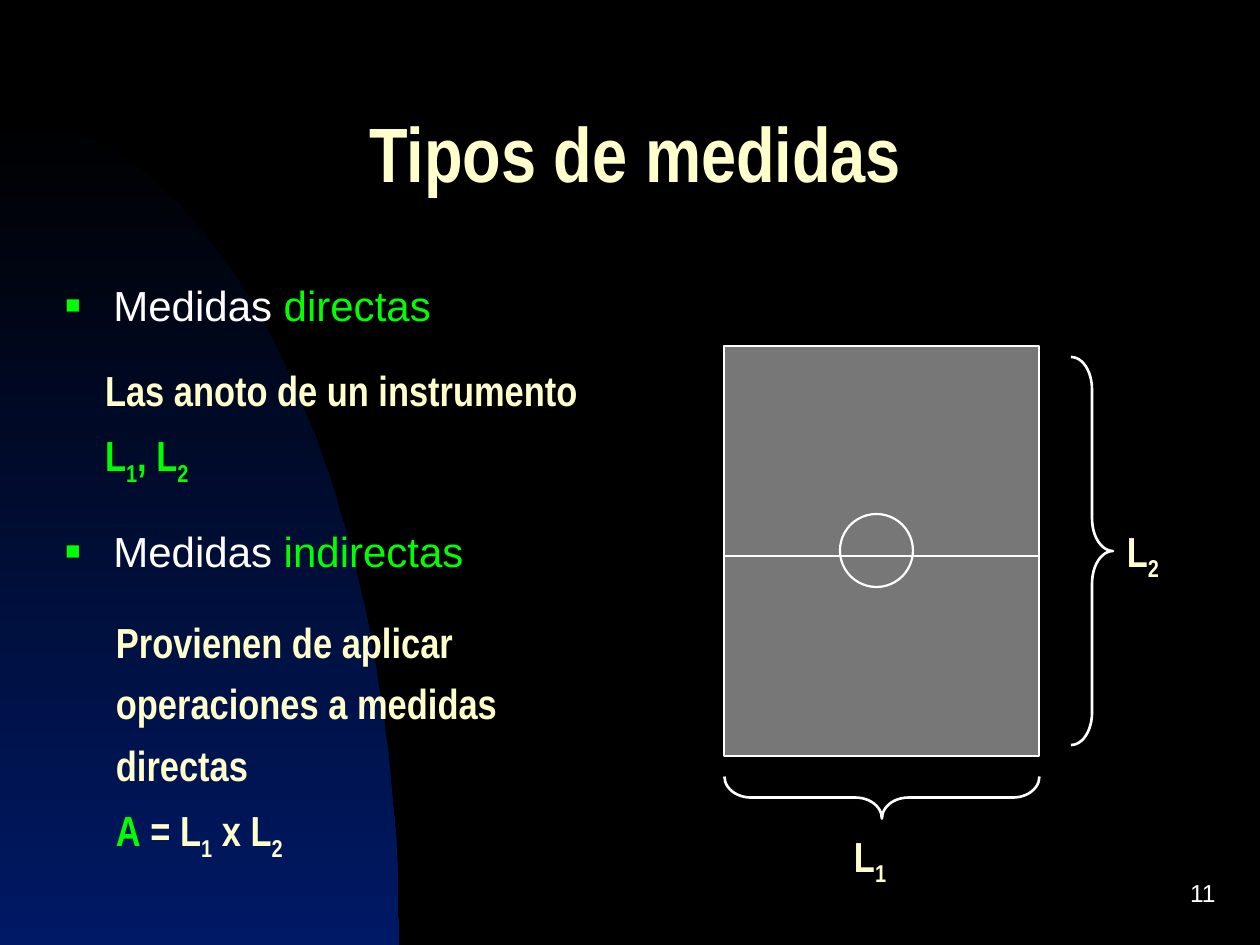
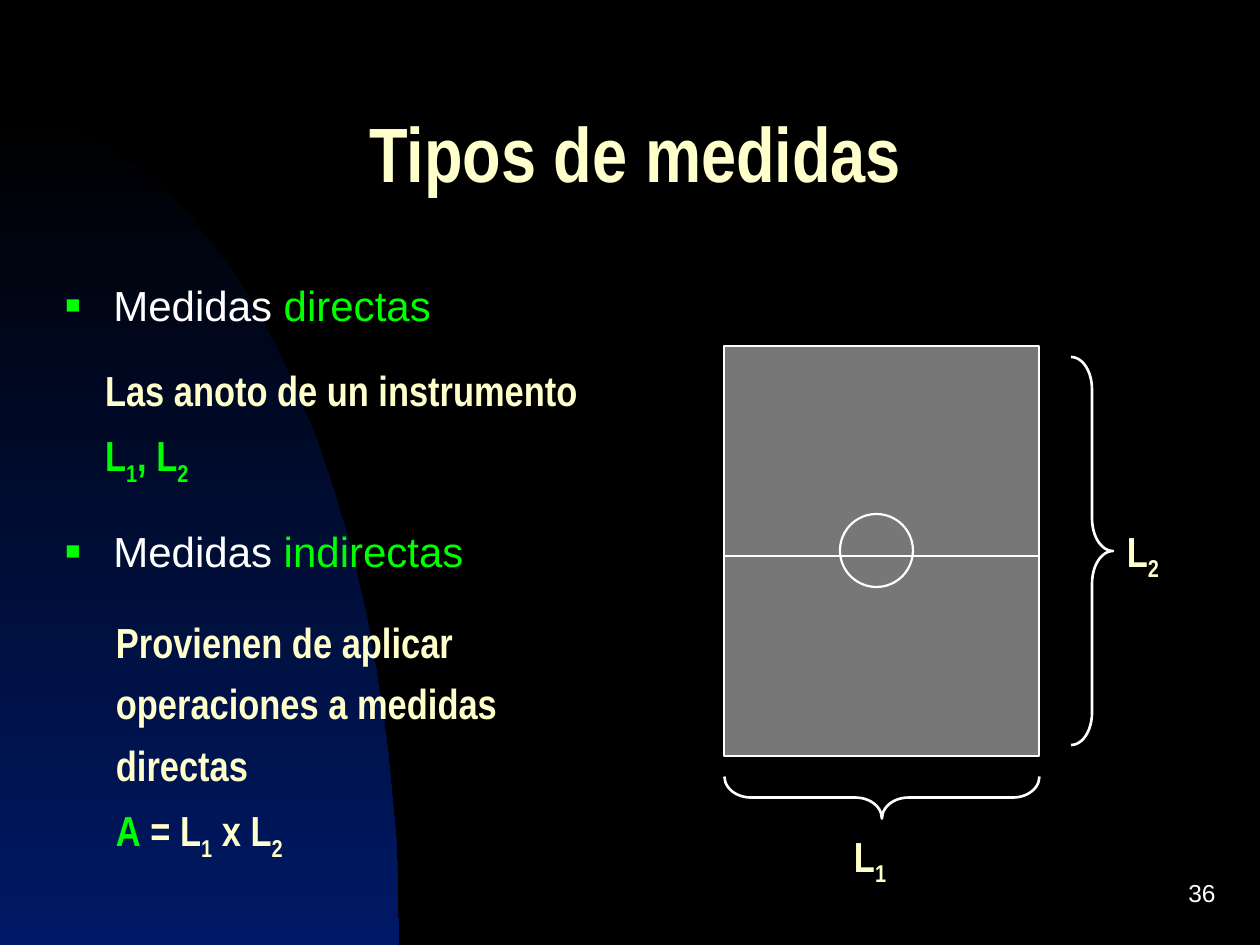
from math import cos, pi, sin

from lxml.etree import SubElement
from pptx import Presentation
from pptx.dml.color import RGBColor
from pptx.enum.shapes import MSO_CONNECTOR, MSO_SHAPE
from pptx.enum.text import MSO_ANCHOR, PP_ALIGN
from pptx.oxml.ns import qn
from pptx.util import Emu, Pt

PX_PER_INCH = 126
CREAM, GREEN, WHITE, GREY = "FFFFCC", "00FF00", "FFFFFF", "777777"
BLACK, NIGHT_BLUE = "000000", "001966"
rgb = RGBColor.from_string


def px(*lengths):
    return [Emu(round(n * 914400 / PX_PER_INCH)) for n in lengths]


def write_lines(frame, lines, size=24, font="Arial Narrow", bold=True, gap=15, spacing=0.7):
    """Write lines of (text, colour) runs; a leading underscore marks a subscript."""
    for number, line in enumerate(lines):
        paragraph = frame.add_paragraph() if number else frame.paragraphs[0]
        paragraph.line_spacing = spacing
        if number:
            paragraph.space_before = Pt(gap)
        for text, colour in line:
            run = paragraph.add_run()
            run.text = text.lstrip("_")
            run.font.size, run.font.name, run.font.bold = Pt(size), font, bold
            run.font.color.rgb = rgb(colour)
            if text.startswith("_"):
                run.font._element.set("baseline", "-25000")


prs = Presentation()
prs.slide_width, prs.slide_height = px(1260, 945)
layout = prs.slide_layouts[5]
background = prs.slide_master.background.fill
background.solid()
background.fore_color.rgb = rgb(BLACK)

# Content: box of each text and its lines
explanations = [
    ((105, 378, 483, 105), [
        [("Las anoto de un instrumento", CREAM)],
        [("L", GREEN), ("_1", GREEN), (", L", GREEN), ("_2", GREEN)],
    ]),
    ((116, 630, 420, 220), [
        [("Provienen de aplicar", CREAM)],
        [("operaciones a medidas", CREAM)],
        [("directas", CREAM)],
        [("A", GREEN), (" = L", CREAM), ("_1", CREAM), (" x L", CREAM), ("_2", CREAM)],
    ]),
    ((854, 840, 50, 80), [[("L", CREAM), ("_1", CREAM)]]),
    ((1127, 535, 50, 80), [[("L", CREAM), ("_2", CREAM)]]),
]
kinds = [[("Medidas ", WHITE), (kind, GREEN)] for kind in ("directas", "indirectas")]

# Unrotated box, rotation and curl of each brace
braces = [((861, 640, 42, 315), 270, 0.63), ((1071, 357, 42, 388), 180, 0.77)]

for page in ("11", "36"):
    slide = prs.slides.add_slide(layout)
    shapes = slide.shapes

    # Shared quarter ellipse, drawn once and moved to the layout
    if page == "11":
        arc = [(399 * sin(i * pi / 120), 945 - 829 * cos(i * pi / 120)) for i in range(61)]
        builder = shapes.build_freeform(0, 945, scale=914400 / PX_PER_INCH)
        builder.add_line_segments(arc)
        glow = builder.convert_to_shape()
        glow.shadow.inherit = False
        glow.line.fill.background()
        glow.fill.gradient()
        glow.fill.gradient_angle = 270
        for stop, colour in zip(glow.fill.gradient_stops, (BLACK, NIGHT_BLUE)):
            stop.color.rgb = rgb(colour)
        layout.shapes.element.insert(2, glow.element)

    # Title
    title = shapes.title
    title.left, title.top, title.width, title.height = px(53, 84, 1165, 158)
    title.text_frame.vertical_anchor = MSO_ANCHOR.MIDDLE
    write_lines(title.text_frame, [[("Tipos de medidas", CREAM)]], size=44)
    title.text_frame.paragraphs[0].alignment = PP_ALIGN.CENTER

    # Bulleted kinds of measurement
    kind_list = shapes.add_textbox(*px(53, 273, 577, 567)).text_frame
    kind_list.word_wrap = True
    hanging = px(48)[0]
    write_lines(kind_list, kinds, font="Arial", bold=False, gap=112, spacing=1.0)
    for paragraph in kind_list.paragraphs:
        properties = paragraph._p.get_or_add_pPr()
        properties.set("marL", str(hanging))
        properties.set("indent", str(-hanging))
        SubElement(SubElement(properties, qn("a:buClr")), qn("a:srgbClr"), val=GREEN)
        SubElement(properties, qn("a:buSzPct"), val="60000")
        SubElement(properties, qn("a:buFont"), typeface="Arial")
        SubElement(properties, qn("a:buChar"), char="■")

    # Explanations and side labels
    for box, lines in explanations:
        frame = shapes.add_textbox(*px(*box)).text_frame
        frame.margin_left = frame.margin_top = frame.margin_right = frame.margin_bottom = 0
        frame.word_wrap = False
        write_lines(frame, lines)

    # Playing field with its halfway line and centre circle
    field = shapes.add_shape(MSO_SHAPE.RECTANGLE, *px(724, 346, 315, 410))
    field.fill.solid()
    field.fill.fore_color.rgb = rgb(GREY)
    halfway = shapes.add_connector(MSO_CONNECTOR.STRAIGHT, *px(724, 556, 1039, 556))
    circle = shapes.add_shape(MSO_SHAPE.OVAL, *px(840, 514, 73, 73))
    circle.fill.background()
    for mark in (field, halfway, circle):
        mark.line.color.rgb = rgb(WHITE)
        mark.line.width = Pt(1.25)
    field.shadow.inherit = circle.shadow.inherit = False
    SubElement(halfway._element.spPr, qn("a:effectLst"))

    # Braces measuring the sides
    for box, rotation, curl in braces:
        brace = shapes.add_shape(MSO_SHAPE.LEFT_BRACE, *px(*box))
        brace.rotation = rotation
        brace.adjustments[0] = curl
        brace.fill.background()
        brace.line.color.rgb = rgb(WHITE)
        brace.line.width = Pt(1.5)
        brace.shadow.inherit = False

    # Page number
    number = shapes.add_textbox(*px(966, 861, 262, 63)).text_frame
    number.word_wrap = True
    number.vertical_anchor = MSO_ANCHOR.MIDDLE
    write_lines(number, [[(page, WHITE)]], size=14, font="Arial", bold=False, spacing=1.0)
    number.paragraphs[0].alignment = PP_ALIGN.RIGHT

prs.save("out.pptx")
